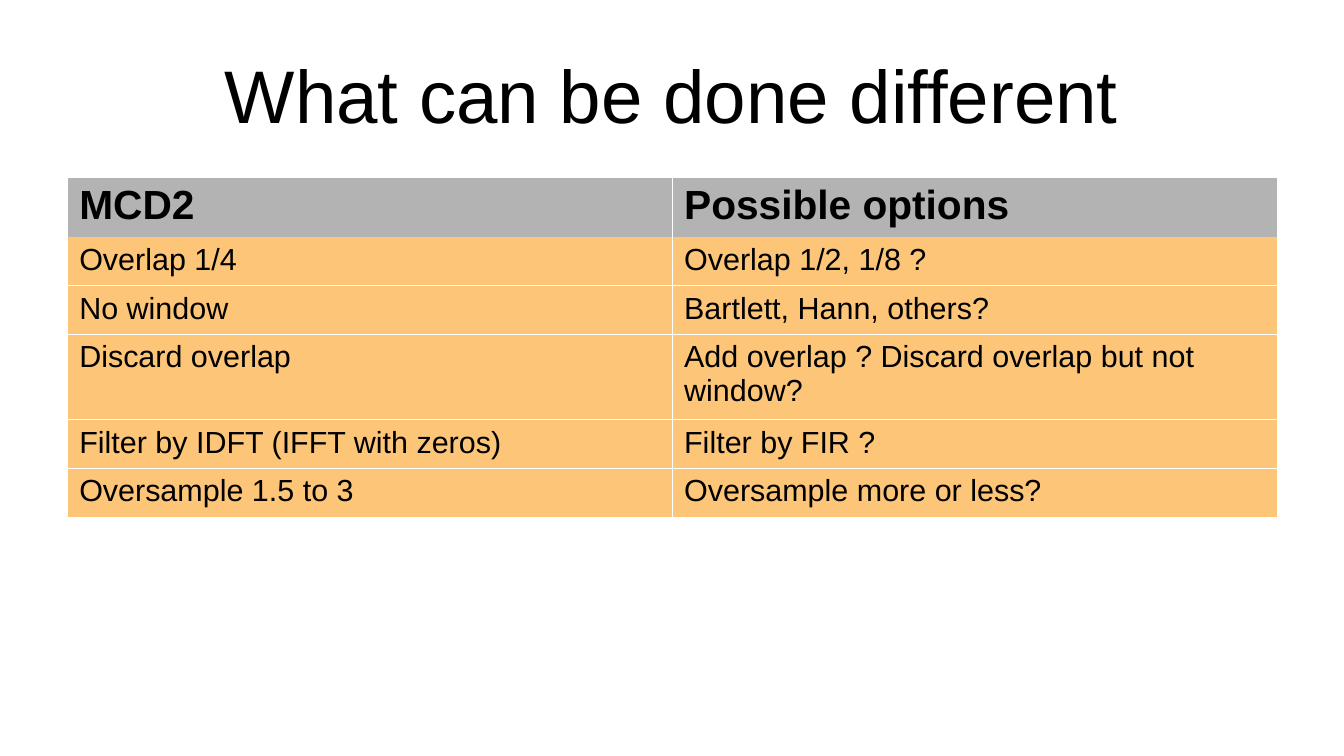
from dataclasses import dataclass

from lxml import etree
from pptx import Presentation
from pptx.dml.color import RGBColor
from pptx.enum.text import MSO_ANCHOR, PP_ALIGN
from pptx.oxml.ns import qn
from pptx.util import Inches, Pt

MIDDLE = MSO_ANCHOR.MIDDLE
CENTER = PP_ALIGN.CENTER


@dataclass(frozen=True)
class Theme:
    font: str = "Arial"
    text: str = "000000"
    header: str = "B3B3B3"
    body: str = "FDC578"
    border: str = "FFFFFF"
    title_size: int = 44
    header_size: int = 24
    body_size: int = 18


theme = Theme()


def style(p, size, bold=False):
    p.font.name = theme.font
    p.font.size = Pt(size)
    p.font.bold = bold
    p.font.color.rgb = RGBColor.from_string(theme.text)


def add_border(cell, side, visible):
    ln = etree.SubElement(cell._tc.get_or_add_tcPr(), qn(f"a:ln{side}"), w=str(Pt(0.06)))
    if visible:
        fill = etree.SubElement(ln, qn("a:solidFill"))
        etree.SubElement(fill, qn("a:srgbClr"), val=theme.border)
    else:
        etree.SubElement(ln, qn("a:noFill"))


prs = Presentation()
prs.slide_width = Inches(11.02)
prs.slide_height = Inches(6.2)
s = prs.slides.add_slide(prs.slide_layouts[5])

left, width = Inches(0.55), Inches(9.92)

title = s.shapes.title
title.left, title.top, title.width, title.height = left, Inches(0.25), width, Inches(1.04)
tf = title.text_frame
tf.margin_left = tf.margin_top = tf.margin_right = tf.margin_bottom = 0
tf.vertical_anchor = MIDDLE
tf.text = "What can be done different"
p = tf.paragraphs[0]
p.alignment = CENTER
style(p, theme.title_size)

rows = [
    ("MCD2", "Possible options"),
    ("Overlap 1/4", "Overlap 1/2, 1/8 ?"),
    ("No window", "Bartlett, Hann, others?"),
    ("Discard overlap", "Add overlap ? Discard overlap but not window?"),
    ("Filter by IDFT (IFFT with zeros)", "Filter by FIR ?"),
    ("Oversample 1.5 to 3", "Oversample more or less?"),
]
heights = [0.49, 0.4, 0.4, 0.7, 0.4, 0.4]

table = s.shapes.add_table(len(rows), 2, left, Inches(1.45), width, Inches(sum(heights))).table
table.first_row = False
table.horz_banding = False

for i, (texts, height) in enumerate(zip(rows, heights)):
    table.rows[i].height = Inches(height)
    is_header = i == 0
    for j, text in enumerate(texts):
        cell = table.cell(i, j)
        cell.margin_left = cell.margin_right = Inches(0.1)
        cell.margin_top = cell.margin_bottom = Inches(0.05)
        cell.text = text
        size = theme.header_size if is_header else theme.body_size
        style(cell.text_frame.paragraphs[0], size, is_header)
        for side in "LRTB":
            under_header = (i, side) in ((0, "B"), (1, "T"))
            add_border(cell, side, not under_header)
        cell.fill.solid()
        color = theme.header if is_header else theme.body
        cell.fill.fore_color.rgb = RGBColor.from_string(color)

prs.save("out.pptx")
